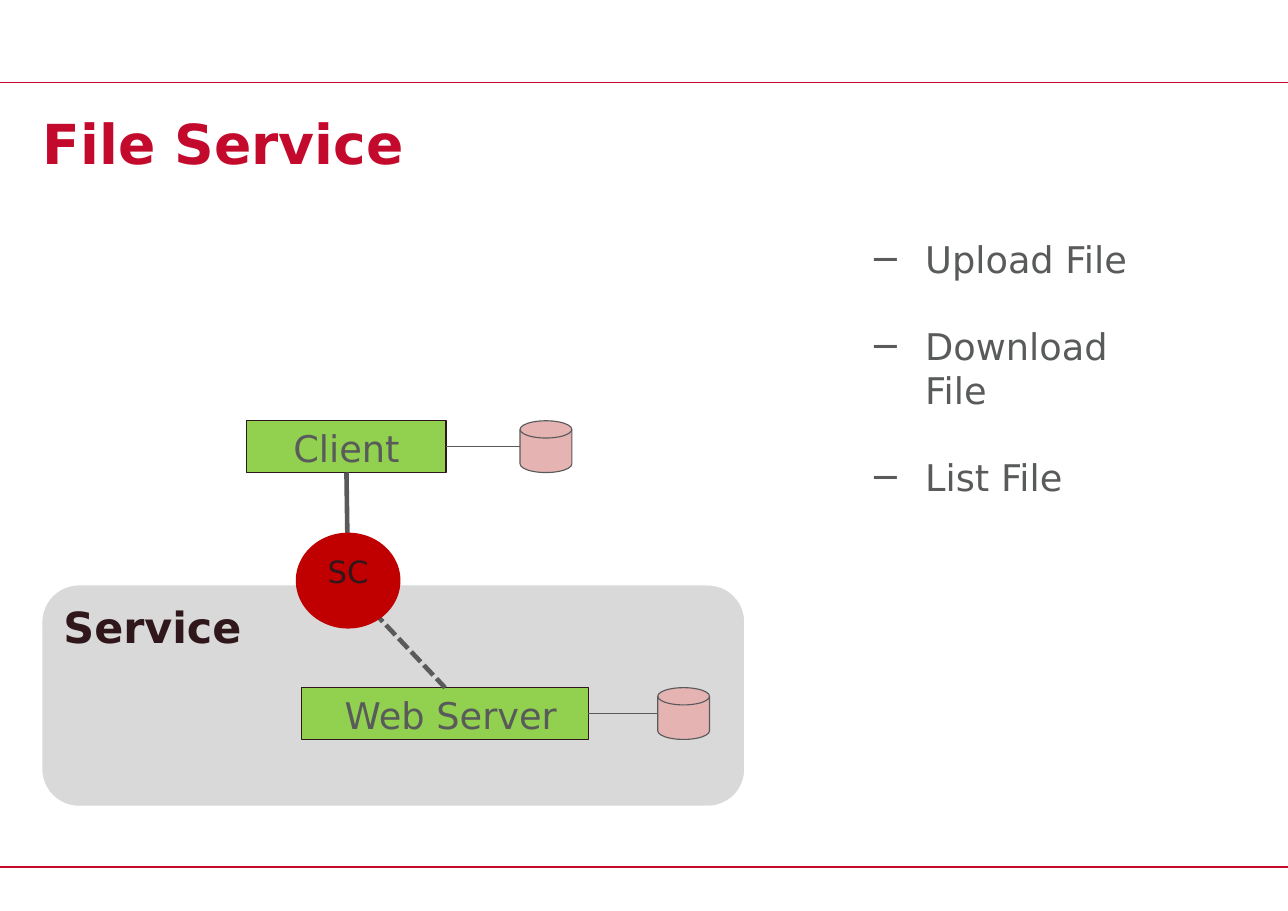
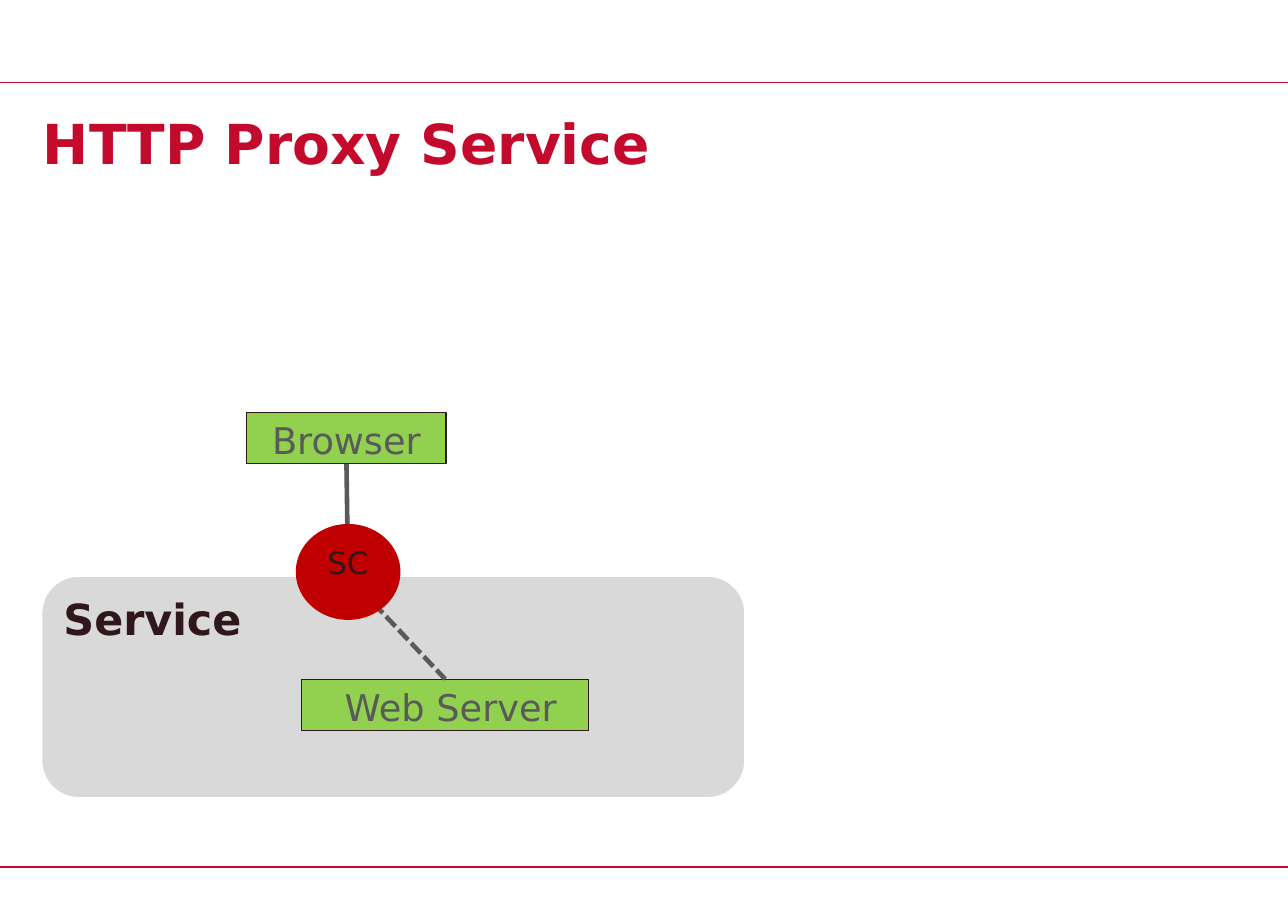
from lxml.etree import SubElement
from pptx import Presentation
from pptx.dml.color import RGBColor
from pptx.enum.dml import MSO_LINE
from pptx.enum.shapes import MSO_CONNECTOR, MSO_SHAPE
from pptx.enum.text import MSO_ANCHOR, PP_ALIGN
from pptx.oxml.ns import qn
from pptx.util import Inches, Pt

FONT = "DejaVu Sans"
COLORS = {
    "red": "C3092C",
    "dark": "2F171B",
    "gray": "595B5B",
    "panel": "D9D9D9",
    "white": "FFFFFF",
    "green": "92D050",
    "disk": "E5B3B2",
    "circle": "C00000",
}
RGB = {name: RGBColor.from_string(value) for name, value in COLORS.items()}

prs = Presentation()
prs.slide_width, prs.slide_height = Inches(11.69), Inches(8.27)
COL, ROW = prs.slide_width / 100, prs.slide_height / 100


def add_box(s, kind, x, y, w, h, fill=None, line=None, lines=(), size=24,
            color="gray", bold=False, align=PP_ALIGN.CENTER):
    place = [int(v) for v in (x * COL, y * ROW, w * COL, h * ROW)]
    if kind is None:
        sp = s.shapes.add_textbox(*place)
    else:
        sp = s.shapes.add_shape(kind, *place)
        sp.shadow.inherit = False
        sp.fill.solid()
        sp.fill.fore_color.rgb = RGB[fill]
        sp.line.color.rgb = RGB[line]
        sp.line.width = Pt(0.75)
    tf = sp.text_frame
    tf.word_wrap = True
    tf.vertical_anchor = MSO_ANCHOR.TOP
    tf.text = "\n".join(lines)
    for p in tf.paragraphs:
        p.alignment = align
        for r in p.runs:
            r.font.name = FONT
            r.font.size = Pt(size)
            r.font.bold = bold
            r.font.color.rgb = RGB[color]
    return sp


def add_line(s, x1, y1, x2, y2, color="gray", width=0.75):
    ends = [int(v) for v in (x1, y1, x2, y2)]
    cx = s.shapes.add_connector(MSO_CONNECTOR.STRAIGHT, *ends)
    cx.line.color.rgb = RGB[color]
    cx.line.width = Pt(width)
    SubElement(cx._element.spPr, qn("a:effectLst"))
    return cx


BAND_TOP, BAND_BOTTOM = 9.07, 95.16
BOX_H = 5.68
slides = [
    ("File Service", "Client", 64.21, True,
     ["Upload File", "Download File", "List File"]),
    ("HTTP Proxy Service", "Browser", 63.26, False, []),
]

for title, client_name, top, has_disks, actions in slides:
    s = prs.slides.add_slide(prs.slide_layouts[6])
    for row in (BAND_BOTTOM, BAND_TOP):
        add_line(s, 0, row * ROW, prs.slide_width, row * ROW, "red", 1)

    add_box(s, MSO_SHAPE.ROUNDED_RECTANGLE, 3.25, top, 54.58, 24.3, "panel",
            "white", ["Service"], 28, "dark", True, PP_ALIGN.LEFT)

    tf = add_box(s, None, 0, BAND_TOP, 100, 13.06, lines=[title], size=36,
                 color="red", bold=True, align=PP_ALIGN.LEFT).text_frame
    tf.vertical_anchor = MSO_ANCHOR.MIDDLE
    tf.margin_left = tf.margin_right = Inches(0.39)
    tf.margin_top = tf.margin_bottom = 0

    client = add_box(s, MSO_SHAPE.RECTANGLE, 19.16, top - 18.02, 15.48, BOX_H,
                     "green", "dark", [client_name])
    server = add_box(s, MSO_SHAPE.RECTANGLE, 23.44, top + 11.28, 22.24, BOX_H,
                     "green", "dark", ["Web Server"])
    server.text_frame.margin_left = Inches(0.2)

    hub_x, hub_y = 27.03 * COL, top * ROW
    add_line(s, client.left + client.width / 2, client.top + client.height,
             hub_x, hub_y, width=3)
    link = add_line(s, hub_x, hub_y, server.left + server.width / 2,
                    server.top, width=3)
    link.line.dash_style = MSO_LINE.SQUARE_DOT

    if has_disks:
        for owner, x in ((client, 40.38), (server, 51.07)):
            add_box(s, MSO_SHAPE.FLOWCHART_MAGNETIC_DISK, x, owner.top / ROW,
                    4.02, BOX_H, "disk", "gray")
            mid = owner.top + owner.height / 2
            add_line(s, owner.left + owner.width, mid, x * COL, mid)

    add_box(s, MSO_SHAPE.OVAL, 23.01, top - 5.68, 8.04, 10.4, "circle",
            "circle", ["SC"], 20, "dark")

    if actions:
        tf = add_box(s, None, 66.72, 25.39, 24.89, 30.23, lines=actions,
                     align=PP_ALIGN.LEFT).text_frame
        for i, p in enumerate(tf.paragraphs):
            if i:
                p.space_before = Pt(28)
            pPr = p._p.get_or_add_pPr()
            pPr.set("marL", str(Inches(0.5)))
            pPr.set("indent", str(-Inches(0.5)))
            clr = SubElement(pPr, qn("a:buClr"))
            SubElement(clr, qn("a:srgbClr"), val=COLORS["gray"])
            SubElement(pPr, qn("a:buFont"), typeface=FONT)
            SubElement(pPr, qn("a:buChar"), char="−")

prs.save("out.pptx")
